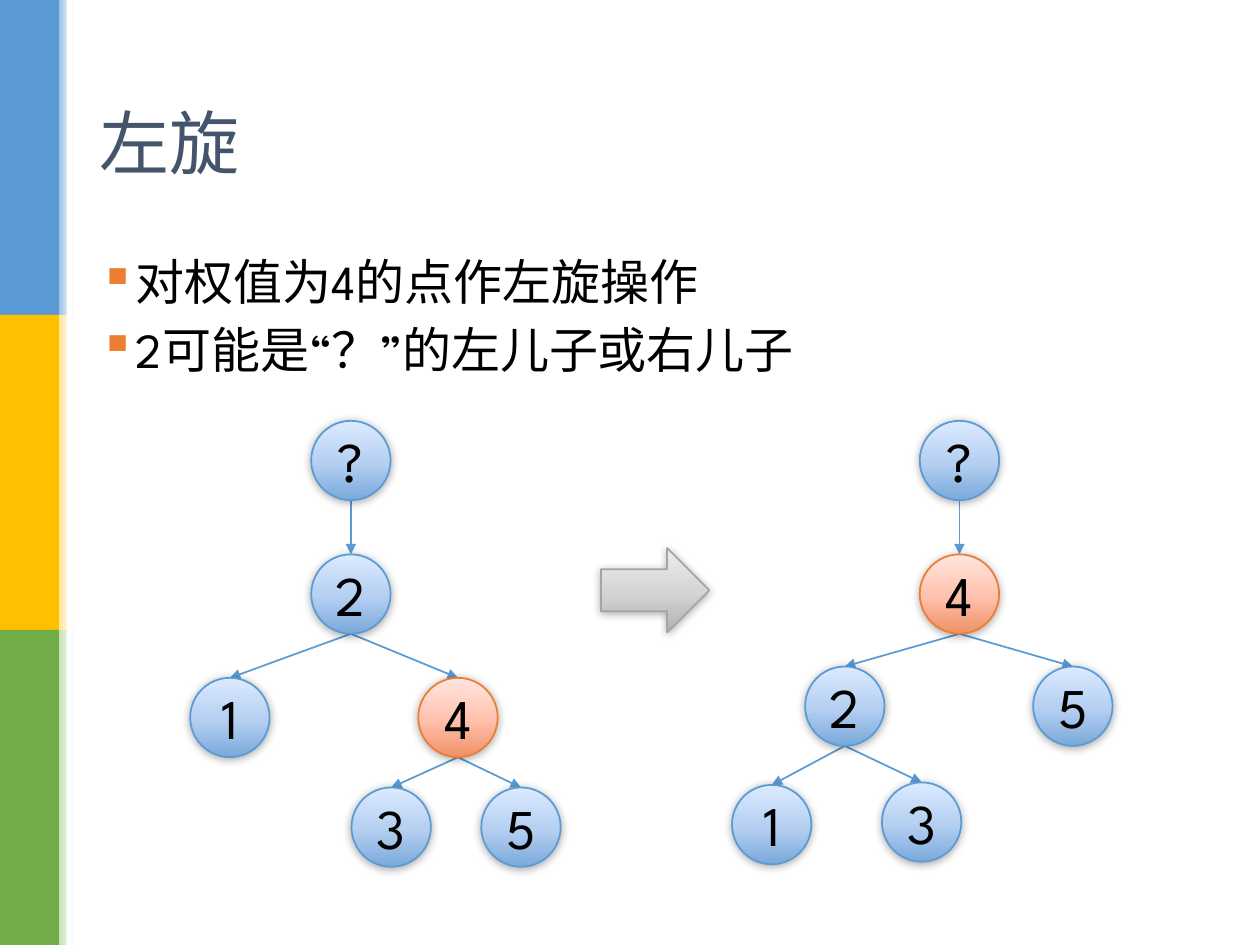
import dataclasses

import lxml.etree
import pptx
import pptx.dml.color
import pptx.enum.lang
import pptx.enum.shapes
import pptx.enum.text
import pptx.oxml
import pptx.oxml.ns
import pptx.util

Kind = pptx.enum.shapes.MSO_SHAPE
Anchor = pptx.enum.text.MSO_ANCHOR
Align = pptx.enum.text.PP_ALIGN


@dataclasses.dataclass(frozen=True)
class Theme:
    font: str = "League Spartan"
    title_size: int = 40
    body_size: int = 28
    node_size: int = 32
    title: str = "44546A"
    text: str = "000000"
    paper: str = "FFFFFF"
    accent: str = "ED7D31"
    edge: str = "5B9BD5"
    # Each finish is an outline and its shades from top to bottom
    plain: tuple = ("5B9BD5", ("DCEAFF", "B6D0F2", "7AA9DA"))
    pivot: tuple = ("ED7D31", ("FFE6DF", "FFC2AF", "EF9166"))
    neutral: tuple = ("A5A5A5", ("EDEDED", "D5D5D5", "B1B1B1"))
    # Side bands from top to bottom: solid colour and tint of the soft edge
    bands: tuple = (("5B9BD5", "9DC3E6"), ("FFC000", "FFE699"), ("70AD47", "C5E0B4"))


def rgb(code):
    return pptx.dml.color.RGBColor.from_string(code)


def add_xml(parent, body):
    """Append an element written in the drawing namespace."""
    head, rest = body.split(" ", 1)
    parent.append(pptx.oxml.parse_xml(f"{head} {pptx.oxml.ns.nsdecls('a')} {rest}"))


class TreeSlide:
    """Places elements on a grid of 100 columns by 75 rows."""

    NODE = 6.3

    def __init__(self, deck, theme):
        self.theme = theme
        self.unit = deck.slide_width / 100
        self.shapes = deck.slides.add_slide(deck.slide_layouts[6]).shapes

    def grid(self, *lengths):
        return [pptx.util.Emu(round(length * self.unit)) for length in lengths]

    def run(self, paragraph, text, size, color):
        run = paragraph.add_run()
        run.text = text
        run.font.size = pptx.util.Pt(size)
        run.font.name = self.theme.font
        run.font.color.rgb = rgb(color)
        run.font.language_id = pptx.enum.lang.MSO_LANGUAGE_ID.SIMPLIFIED_CHINESE
        add_xml(run.font._element, f'<a:ea typeface="{self.theme.font}"/>')

    def block(self, box, color, tint=None):
        """A flat rectangle, or one fading rightwards from color to tint."""
        block = self.shapes.add_shape(Kind.RECTANGLE, *self.grid(*box))
        block.shadow.inherit = False
        block.line.fill.background()
        if tint is None:
            block.fill.solid()
            block.fill.fore_color.rgb = rgb(color)
        else:
            block.fill.gradient()
            block.fill.gradient_angle = 0
            for stop, shade in zip(block.fill.gradient_stops, (color, tint)):
                stop.color.rgb = rgb(shade)

    def glossy(self, kind, box, finish):
        """A shape with a vertical three-shade fill and a soft shadow."""
        outline, shades = finish
        shape = self.shapes.add_shape(kind, *self.grid(*box))
        properties = shape.element.spPr
        stops = "".join(
            f'<a:gs pos="{place}000"><a:srgbClr val="{shade}"/></a:gs>'
            for place, shade in zip((0, 52, 100), shades))
        add_xml(properties, f'<a:gradFill rotWithShape="1"><a:gsLst>{stops}</a:gsLst>'
                            '<a:lin ang="5400000" scaled="0"/></a:gradFill>')
        shape.line.color.rgb = rgb(outline)
        shape.line.width = pptx.util.Pt(1)
        add_xml(properties, '<a:effectLst ><a:outerShdw blurRad="63500" dist="12700" '
                            'dir="5400000" algn="ctr" rotWithShape="0"><a:srgbClr val="000000">'
                            '<a:alpha val="32000"/></a:srgbClr></a:outerShdw></a:effectLst>')
        return shape

    def textbox(self, box, anchor):
        frame = self.shapes.add_textbox(*self.grid(*box)).text_frame
        frame.word_wrap = True
        frame.vertical_anchor = anchor
        return frame

    def title(self, box, text):
        frame = self.textbox(box, Anchor.MIDDLE)
        self.run(frame.paragraphs[0], text, self.theme.title_size, self.theme.title)

    def bullets(self, box, lines):
        frame = self.textbox(box, Anchor.TOP)
        for index, line in enumerate(lines):
            paragraph = frame.add_paragraph() if index else frame.paragraphs[0]
            paragraph.line_spacing = 0.9
            layout = paragraph._p.get_or_add_pPr()
            indent = pptx.util.Inches(0.19)
            layout.set("marL", str(indent))
            layout.set("indent", str(-indent))
            add_xml(layout, '<a:spcBef ><a:spcPct val="30000"/></a:spcBef>')
            add_xml(layout, f'<a:buClr ><a:srgbClr val="{self.theme.accent}"/></a:buClr>')
            add_xml(layout, '<a:buChar char="▪"/>')
            self.run(paragraph, line, self.theme.body_size, self.theme.text)

    def node(self, left, top, label, finish):
        frame = self.glossy(Kind.OVAL, (left, top, self.NODE, self.NODE), finish).text_frame
        frame.word_wrap = True
        frame.vertical_anchor = Anchor.MIDDLE
        paragraph = frame.paragraphs[0]
        paragraph.alignment = Align.CENTER
        self.run(paragraph, label, self.theme.node_size, self.theme.text)

    def edge(self, parent, child):
        """An arrow from the bottom of the parent to the top of the child."""
        half = self.NODE / 2
        edge = self.shapes.add_connector(
            pptx.enum.shapes.MSO_CONNECTOR.STRAIGHT,
            *self.grid(parent[0] + half, parent[1] + self.NODE, child[0] + half, child[1]))
        edge.line.color.rgb = rgb(self.theme.edge)
        edge.line.width = pptx.util.Pt(1)
        add_xml(edge.line._get_or_add_ln(), '<a:tailEnd type="triangle"/>')
        lxml.etree.SubElement(edge._element.spPr, pptx.oxml.ns.qn("a:effectLst"))

    def tree(self, places, links, pivot):
        for parent, child in links:
            self.edge(places[parent], places[child])
        for label, (left, top) in places.items():
            finish = self.theme.pivot if label == pivot else self.theme.plain
            self.node(left, top, label, finish)


def main():
    deck = pptx.Presentation()
    deck.slide_width = pptx.util.Inches(10)
    deck.slide_height = pptx.util.Inches(7.5)
    theme = Theme()
    slide = TreeSlide(deck, theme)

    # Side bands with a soft right edge
    for index, (color, tint) in enumerate(theme.bands):
        slide.block((0, 25 * index, 4.7, 25), color)
        slide.block((4.7, 25 * index, 1.2, 25), tint, theme.paper)
    slide.block((5.3, 0, 0.4, 75), theme.paper)

    # Heading and explanation
    slide.title((6.9, 4, 86.2, 14.5), "左旋")
    slide.bullets((6.9, 20, 86.2, 51.5),
                  ["对权值为4的点作左旋操作", "2可能是“？”的左儿子或右儿子"])

    # Tree before the rotation
    before = {"?": (24.7, 33.4), "2": (24.7, 44), "1": (15.1, 53.8),
              "4": (33.2, 53.8), "3": (27.9, 62.5), "5": (38.2, 62.5)}
    slide.tree(before, ["?2", "21", "24", "43", "45"], pivot="4")

    # Rotation arrow
    slide.glossy(Kind.RIGHT_ARROW, (47.7, 43.5, 8.6, 6.7), theme.neutral)

    # Tree after the rotation
    after = {"?": (73, 33.4), "4": (73, 44), "2": (63.9, 52.9),
             "5": (82, 52.9), "1": (58.1, 62.3), "3": (70, 62.1)}
    slide.tree(after, ["?4", "42", "45", "21", "23"], pivot="4")

    deck.save("out.pptx")


if __name__ == "__main__":
    main()
